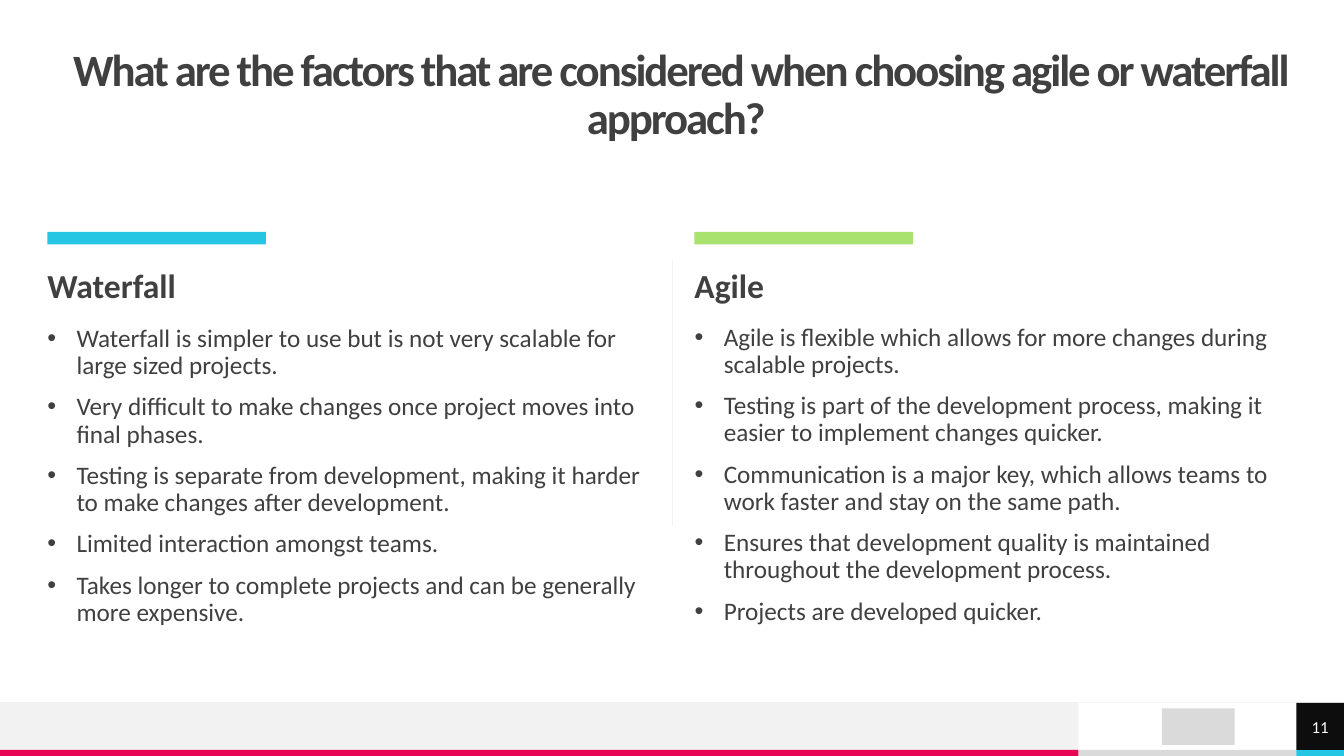
import pptx
import pptx.util
import pptx.dml.color
import pptx.enum.shapes
import pptx.enum.text
import pptx.oxml.ns
import lxml.etree

Pt = pptx.util.Pt
RGB = pptx.dml.color.RGBColor
ALIGN = pptx.enum.text.PP_ALIGN
ANCHOR = pptx.enum.text.MSO_ANCHOR
qn = pptx.oxml.ns.qn

DARK = RGB(0x40, 0x40, 0x40)
BLACK = RGB(0x0D, 0x0D, 0x0D)
WHITE = RGB(0xFF, 0xFF, 0xFF)
PALE = RGB(0xF2, 0xF2, 0xF2)
GREY = RGB(0xDA, 0xDA, 0xDA)
CYAN = RGB(0x25, 0xC6, 0xE3)
GREEN = RGB(0xA9, 0xE2, 0x6F)
PINK = RGB(0xE8, 0x05, 0x54)

WIDE, HIGH = 960, 540
FOOT, STRIP = 502, 535.7   # tops of the footer and of its colour strip
SIDE, PAGE = 770.4, 926    # left edges of the white and page number areas

COLUMNS = [
    (33.8, 232.6, CYAN, "Waterfall", [
        "Waterfall is simpler to use but is not very scalable for large sized projects.",
        "Very difficult to make changes once project moves into final phases.",
        "Testing is separate from development, making it harder to make changes after development.",
        "Limited interaction amongst teams.",
        "Takes longer to complete projects and can be generally more expensive.",
    ]),
    (496.1, 231.8, GREEN, "Agile", [
        "Agile is flexible which allows for more changes during scalable projects.",
        "Testing is part of the development process, making it easier to implement changes quicker.",
        "Communication is a major key, which allows teams to work faster and stay on the same path.",
        "Ensures that development quality is maintained throughout the development process.",
        "Projects are developed quicker.",
    ]),
]


class Deck:
    def __init__(self):
        self.prs = pptx.Presentation()
        self.prs.slide_width, self.prs.slide_height = Pt(WIDE), Pt(HIGH)
        self.slide = self.prs.slides.add_slide(self.prs.slide_layouts[6])
        self.font = "Calibri"

    def bar(self, x, y, w, h, fill):
        kind = pptx.enum.shapes.MSO_SHAPE.RECTANGLE
        shape = self.slide.shapes.add_shape(kind, Pt(x), Pt(y), Pt(w), Pt(h))
        shape.shadow.inherit = False
        shape.fill.solid()
        shape.fill.fore_color.rgb = fill
        shape.line.fill.background()
        return shape

    def rule(self, x1, y1, x2, y2):
        kind = pptx.enum.shapes.MSO_CONNECTOR.STRAIGHT
        line = self.slide.shapes.add_connector(kind, Pt(x1), Pt(y1), Pt(x2), Pt(y2))
        line.line.color.rgb = PALE
        line.line.width = Pt(0.5)
        lxml.etree.SubElement(line._element.spPr, qn("a:effectLst"))

    def frame(self, shape, anchor=ANCHOR.TOP):
        """Clear the margins of a shape's text and return its frame."""
        frame = shape.text_frame
        frame.word_wrap = True
        frame.vertical_anchor = anchor
        frame.margin_left = frame.margin_right = 0
        frame.margin_top = frame.margin_bottom = 0
        return frame

    def box(self, x, y, w, h, anchor=ANCHOR.TOP):
        shape = self.slide.shapes.add_textbox(Pt(x), Pt(y), Pt(w), Pt(h))
        return self.frame(shape, anchor)

    def run(self, para, text, size, color=DARK, bold=False, track=0):
        """Add a run; track is the letter spacing in points."""
        run = para.add_run()
        run.text = text
        font = run.font
        font.name, font.size, font.bold = self.font, Pt(size), bold
        font.color.rgb = color
        if track:
            run._r.get_or_add_rPr().set("spc", str(round(track * 100)))

    def list(self, frame, items):
        """Fill a frame with one bulleted paragraph per item."""
        for i, item in enumerate(items):
            para = frame.add_paragraph() if i else frame.paragraphs[0]
            para.line_spacing = 0.9
            para.space_before = Pt(10)
            props = para._p.get_or_add_pPr()
            props.set("marL", str(Pt(20.9)))
            props.set("indent", str(-Pt(20.9)))
            lxml.etree.SubElement(props, qn("a:buFont")).set("typeface", "Arial")
            lxml.etree.SubElement(props, qn("a:buChar")).set("char", "•")
            self.run(para, item, 18)

    def footer(self):
        self.bar(SIDE, STRIP, PAGE - SIDE, HIGH - STRIP, GREY)
        self.bar(0, FOOT, SIDE, STRIP - FOOT, PALE)
        self.bar(0, STRIP, SIDE, HIGH - STRIP, PINK)
        self.bar(PAGE, STRIP, WIDE - PAGE, HIGH - STRIP, CYAN)
        self.rule(WIDE, FOOT, 0, FOOT)
        self.bar(830, 506, 52, 26, GREY)

        page = self.bar(PAGE, FOOT, WIDE - PAGE, STRIP - FOOT, BLACK)
        para = self.frame(page, ANCHOR.MIDDLE).paragraphs[0]
        para.alignment = ALIGN.CENTER
        self.run(para, "11", 12, WHITE)

    def title(self, text):
        para = self.box(33.8, 27.4, 904.3, 82.1, ANCHOR.MIDDLE).paragraphs[0]
        para.alignment = ALIGN.CENTER
        para.line_spacing = 0.9
        self.run(para, text, 32, bold=True, track=-1.5)

    def column(self, x, top, color, head, items):
        self.bar(x, 165.6, 156.2, 9, color)
        para = self.box(x, 192.2, 125.3, 28).paragraphs[0]
        para.line_spacing = 0.9
        para.space_before = Pt(10)
        self.run(para, head, 24, bold=True)
        self.list(self.box(x, top, 430.6, 204), items)


def main():
    deck = Deck()
    deck.footer()
    deck.title("What are the factors that are considered when choosing "
               "agile or waterfall approach? ")
    for column in COLUMNS:
        deck.column(*column)
    deck.rule(WIDE / 2, 185.8, WIDE / 2, 375.8)
    deck.prs.save("out.pptx")


if __name__ == "__main__":
    main()
